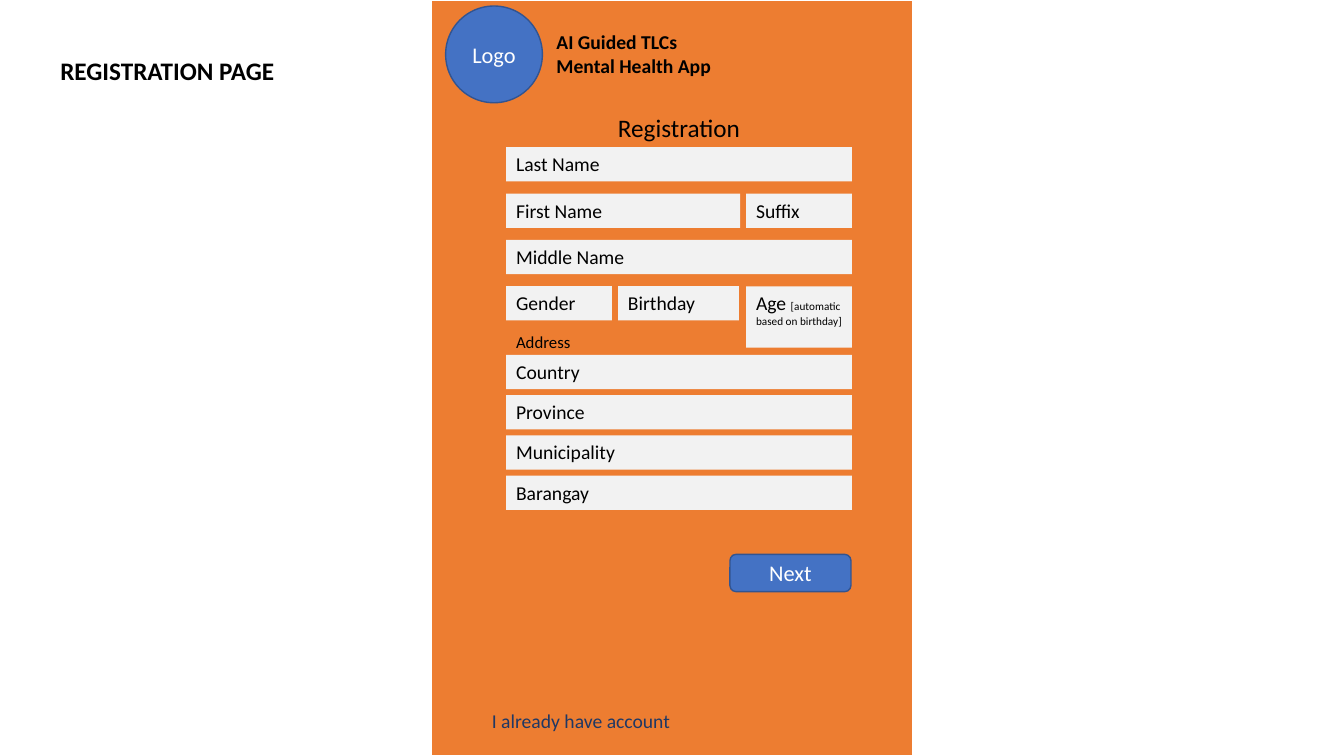
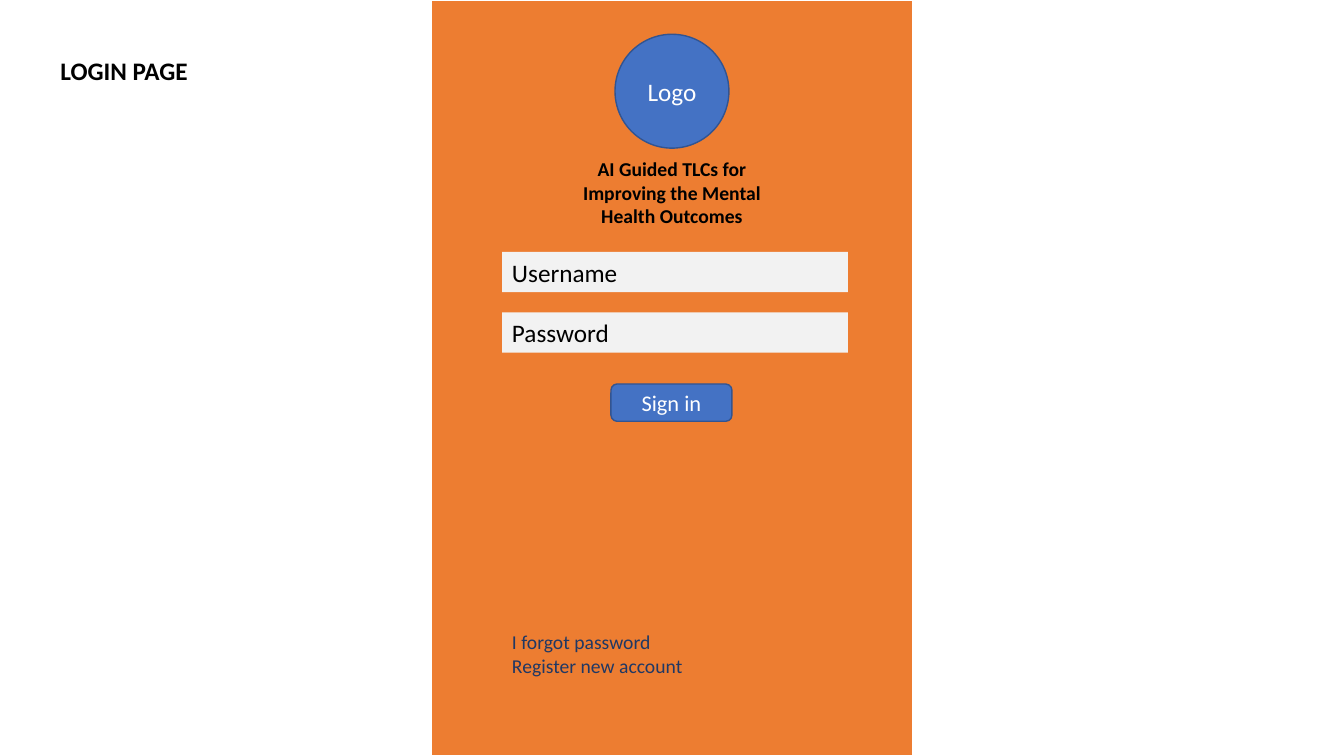
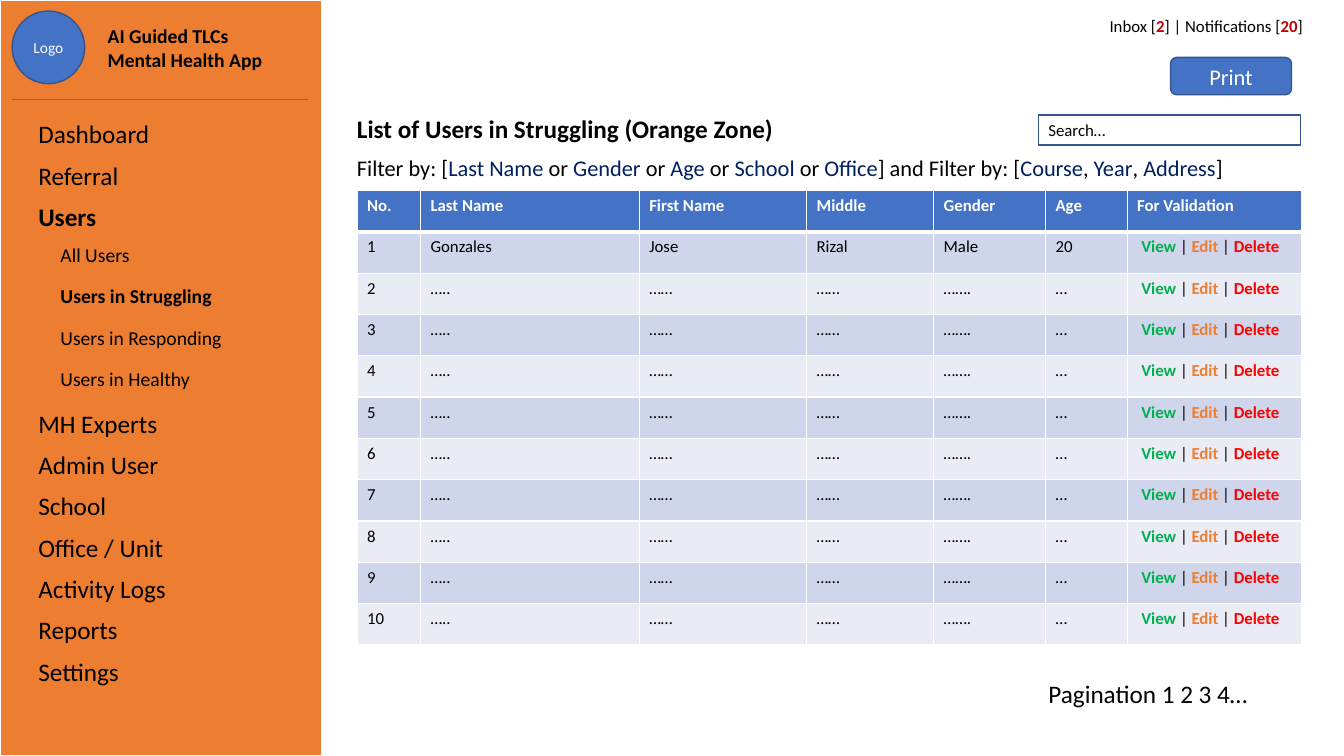
from dataclasses import dataclass

from lxml import etree
from pptx import Presentation
from pptx import util as u
from pptx.dml.color import RGBColor
from pptx.enum import shapes, text
from pptx.oxml.ns import qn

SHAPE = shapes.MSO_SHAPE
ALIGN = text.PP_ALIGN
ANCHOR = text.MSO_ANCHOR


@dataclass(frozen=True)
class Theme:
    # Colours
    orange: str = "ED7D31"
    blue: str = "4472C4"
    edge: str = "325491"
    field: str = "F2F2F2"
    white: str = "FFFFFF"
    black: str = "000000"
    link: str = "203864"
    filter: str = "002060"
    count: str = "C00000"
    view: str = "00B050"
    delete: str = "FF0000"
    bands: tuple = ("CFD5EA", "E9EBF5")
    # Type
    font: str = "Calibri"
    title: int = 18
    button: int = 16
    body: int = 14
    small: int = 12
    badge: int = 11
    note: int = 8


T = Theme()
NO_TABLE_STYLE = "{2D5ABB26-0587-4C30-8999-92F81FD0307C}"
APP_NAME = "AI Guided TLCs Mental Health App"


class Deck:
    """Holds the style and the slide being built."""

    def __init__(self):
        self.prs = Presentation()
        self.prs.slide_width = u.Inches(13.33)
        self.prs.slide_height = u.Inches(7.5)
        self.s = None

    # Slide frame
    def page(self, left, width, title=None):
        self.s = self.prs.slides.add_slide(self.prs.slide_layouts[6])
        self.shape(SHAPE.RECTANGLE, left, 0, width, 7.5, T.orange, T.white, 1.5)
        if title:
            self.label(title, 0.5, 0.5, 2.54, 0.4, T.title, bold=True)

    # Text: a string, or a list of (text, style) runs
    def set_text(self, tf, content, size, color=T.black, bold=False, align=ALIGN.LEFT):
        if isinstance(content, str):
            tf.text = content
        else:
            for words, _ in content:
                tf.paragraphs[0].add_run().text = words
        for p in tf.paragraphs:
            p.alignment = align
            for i, r in enumerate(p.runs):
                style = {} if isinstance(content, str) else content[i][1]
                r.font.name = T.font
                r.font.size = u.Pt(style.get("size", size))
                r.font.bold = style.get("bold", bold)
                r.font.color.rgb = RGBColor.from_string(style.get("color", color))

    def label(self, content, x, y, w, h, size, inset=0.1, **style):
        sp = self.s.shapes.add_textbox(*map(u.Inches, (x, y, w, h)))
        tf = sp.text_frame
        tf.word_wrap = True
        tf.auto_size = text.MSO_AUTO_SIZE.SHAPE_TO_FIT_TEXT
        tf.margin_left = u.Inches(inset)
        self.set_text(tf, content, size, **style)

    # Shapes
    def shape(self, kind, x, y, w, h, fill, line=None, weight=1):
        sp = self.s.shapes.add_shape(kind, *map(u.Inches, (x, y, w, h)))
        sp.shadow.inherit = False
        sp.fill.solid()
        sp.fill.fore_color.rgb = RGBColor.from_string(fill)
        if line:
            sp.line.color.rgb = RGBColor.from_string(line)
            sp.line.width = u.Pt(weight)
        else:
            sp.line.fill.background()
        sp.text_frame.word_wrap = True
        return sp

    def logo(self, x, y, d, size):
        sp = self.shape(SHAPE.OVAL, x, y, d, d, T.blue, T.edge)
        self.set_text(sp.text_frame, "Logo", size, T.white, align=ALIGN.CENTER)

    def button(self, caption, x, y):
        sp = self.shape(SHAPE.ROUNDED_RECTANGLE, x, y, 1.2, 0.37, T.blue, T.edge)
        self.set_text(sp.text_frame, caption, T.button, T.white, align=ALIGN.CENTER)

    def field(self, content, x, y, w=3.43, h=0.34, size=T.body):
        sp = self.shape(SHAPE.RECTANGLE, x, y, w, h, T.field)
        sp.text_frame.vertical_anchor = ANCHOR.TOP
        self.set_text(sp.text_frame, content, size)

    def search(self, caption, x, y, w, h):
        sp = self.shape(SHAPE.RECTANGLE, x, y, w, h, T.white, T.edge)
        self.set_text(sp.text_frame, caption, T.small)

    def rule(self, x1, x2, y):
        cn = self.s.shapes.add_connector(
            shapes.MSO_CONNECTOR.STRAIGHT, *map(u.Inches, (x1, y, x2, y)))
        cn.line.color.rgb = RGBColor.from_string(T.blue)
        cn.line.width = u.Pt(0.5)
        etree.SubElement(cn._element.spPr, qn("a:effectLst"))

    # Tables
    def table(self, x, y, widths, rows, row_height):
        frame = self.s.shapes.add_table(
            rows, len(widths), u.Inches(x), u.Inches(y),
            u.Inches(sum(widths)), u.Inches(row_height * rows))
        tbl = frame.table
        tbl._tbl.tblPr.find(qn("a:tableStyleId")).text = NO_TABLE_STYLE
        tbl.first_row = tbl.horz_banding = False
        for col, width in zip(tbl.columns, widths):
            col.width = u.Inches(width)
        for row in tbl.rows:
            row.height = u.Inches(row_height)
        return tbl

    def paint_cell(self, cell, fill, top=1, bottom=1):
        tc_pr = cell._tc.get_or_add_tcPr()
        for side, weight in (("L", 1), ("R", 1), ("T", top), ("B", bottom)):
            ln = etree.SubElement(tc_pr, qn("a:ln" + side), w=str(u.Pt(weight)))
            solid = etree.SubElement(ln, qn("a:solidFill"))
            etree.SubElement(solid, qn("a:srgbClr"), val=T.white)
        cell.fill.solid()
        cell.fill.fore_color.rgb = RGBColor.from_string(fill)

    def menu(self, x, y, width, items):
        tbl = self.table(x, y, [width], len(items), 0.41)
        for i, (name, level, bold) in enumerate(items):
            cell = tbl.cell(i, 0)
            cell.fill.background()
            cell.margin_left = u.Inches(0.1 + 0.22 * level)
            size = T.body if level else T.title
            self.set_text(cell.text_frame, name, size, bold=bold)

    def grid(self, x, y, widths, header, rows):
        tbl = self.table(x, y, widths, len(rows) + 1, 0.41)
        for j, name in enumerate(header):
            cell = tbl.cell(0, j)
            self.paint_cell(cell, T.blue, bottom=3)
            self.set_text(cell.text_frame, name, T.small, T.white, True)
        for i, row in enumerate(rows, 1):
            for j, content in enumerate(row):
                cell = tbl.cell(i, j)
                self.paint_cell(cell, T.bands[(i - 1) % 2], top=3 if i == 1 else 1)
                actions = not isinstance(content, str)
                if actions:
                    cell.margin_right = u.Inches(0.18)
                self.set_text(cell.text_frame, content, T.small,
                              align=ALIGN.CENTER if actions else ALIGN.LEFT)


def registration(d):
    d.page(4.27, 4.79, "REGISTRATION PAGE")
    d.logo(4.42, 0.06, 0.96, T.button)
    d.label(APP_NAME, 5.42, 0.25, 1.83, 0.57, T.body, bold=True)
    d.label("Registration", 5.4, 1.07, 2.67, 0.4, T.title, align=ALIGN.CENTER)

    # Personal details
    left, narrow = 5.02, 7.4
    y = [1.46 + 0.46 * i for i in range(4)]
    d.field("Last Name", left, y[0])
    d.field("First Name", left, y[1], 2.32)
    d.field("Suffix", narrow, y[1], 1.05)
    d.field("Middle Name", left, y[2])
    d.field("Gender", left, y[3], 1.05)
    d.field("Birthday", 6.13, y[3], 1.2)
    d.field([("Age ", {}), ("[automatic based on birthday]", {"size": T.note})],
            narrow, y[3], 1.05, 0.61)

    # Address
    d.label("Address", left, 3.24, 0.96, 0.31, T.small)
    for i, name in enumerate(("Country", "Province", "Municipality", "Barangay")):
        d.field(name, left, 3.52 + 0.4 * i)

    d.button("Next", 7.24, 5.5)
    d.label("I already have account", 4.78, 6.98, 3.1, 0.34, T.body, color=T.link)


def login(d):
    d.page(4.27, 4.79, "LOGIN PAGE")
    d.logo(6.1, 0.34, 1.13, T.title)
    d.label("AI Guided TLCs for Improving the Mental Health Outcomes",
            5.5, 1.51, 2.33, 0.81, T.body, bold=True, align=ALIGN.CENTER)
    for i, name in enumerate(("Username", "Password")):
        d.field(name, 4.98, 2.5 + 0.6 * i, h=0.4, size=T.title)
    d.button("Sign in", 6.06, 3.81)
    d.label("I forgot password\nRegister new account",
            4.98, 6.2, 3.1, 0.57, T.body, color=T.link)


def user_list(d):
    # Sidebar
    d.page(0, 3.19)
    d.menu(0.28, 1.14, 2.64, [
        ("Dashboard", 0, False), ("Referral", 0, False), ("Users", 0, True),
        ("All Users", 1, False), ("Users in Struggling", 1, True),
        ("Users in Responding", 1, False), ("Users in Healthy", 1, False),
        ("MH Experts", 0, False), ("Admin User", 0, False), ("School", 0, False),
        ("Office / Unit", 0, False), ("Activity Logs", 0, False),
        ("Reports", 0, False), ("Settings", 0, False)])
    d.logo(0.12, 0.11, 0.72, T.badge)
    d.label(APP_NAME, 0.97, 0.19, 1.83, 0.57, T.body, bold=True)
    d.rule(0.12, 3.05, 0.99)

    # Top bar
    count = {"color": T.count, "bold": True}
    d.label([("Inbox [", {}), ("2", count), ("] | Notifications [", {}),
             ("20", count), ("]", {})],
            10.36, 0.11, 2.66, 0.3, T.small, align=ALIGN.RIGHT)
    d.button("Print", 11.61, 0.57)
    d.search("Search…", 10.3, 1.14, 2.6, 0.3)

    # Heading and filters
    d.label("List of Users in Struggling (Orange Zone)",
            3.54, 1.08, 4.37, 0.4, T.title, inset=0, bold=True)
    filters = []
    for lead, name in (("Filter by: [", "Last Name"), (" or ", "Gender"),
                       (" or ", "Age"), (" or ", "School"), (" or ", "Office"),
                       ("] and Filter by: [", "Course"), (", ", "Year"),
                       (", ", "Address")):
        filters += [(lead, {}), (name, {"color": T.filter})]
    d.label(filters + [("]", {})], 3.54, 1.48, 9.36, 0.37, T.button, inset=0)

    # User table
    actions = [("View", {"color": T.view, "bold": True}), (" | ", {}),
               ("Edit", {"color": T.orange, "bold": True}), (" | ", {}),
               ("Delete", {"color": T.delete, "bold": True})]
    first = ["Gonzales", "Jose", "Rizal", "Male", "20"]
    blank = ["…..", "……", "……", "…….", "…"]
    rows = [[str(n), *(first if n == 1 else blank), actions] for n in range(1, 11)]
    d.grid(3.54, 1.89, [0.63, 2.17, 1.66, 1.26, 1.11, 0.81, 1.73],
           ["No.", "Last Name", "First Name", "Middle", "Gender", "Age",
            "For Validation"], rows)
    d.label("Pagination 1 2 3 4…", 10.3, 6.68, 2.6, 0.4, T.title)


def main():
    d = Deck()
    registration(d)
    login(d)
    user_list(d)
    d.prs.save("out.pptx")


if __name__ == "__main__":
    main()
